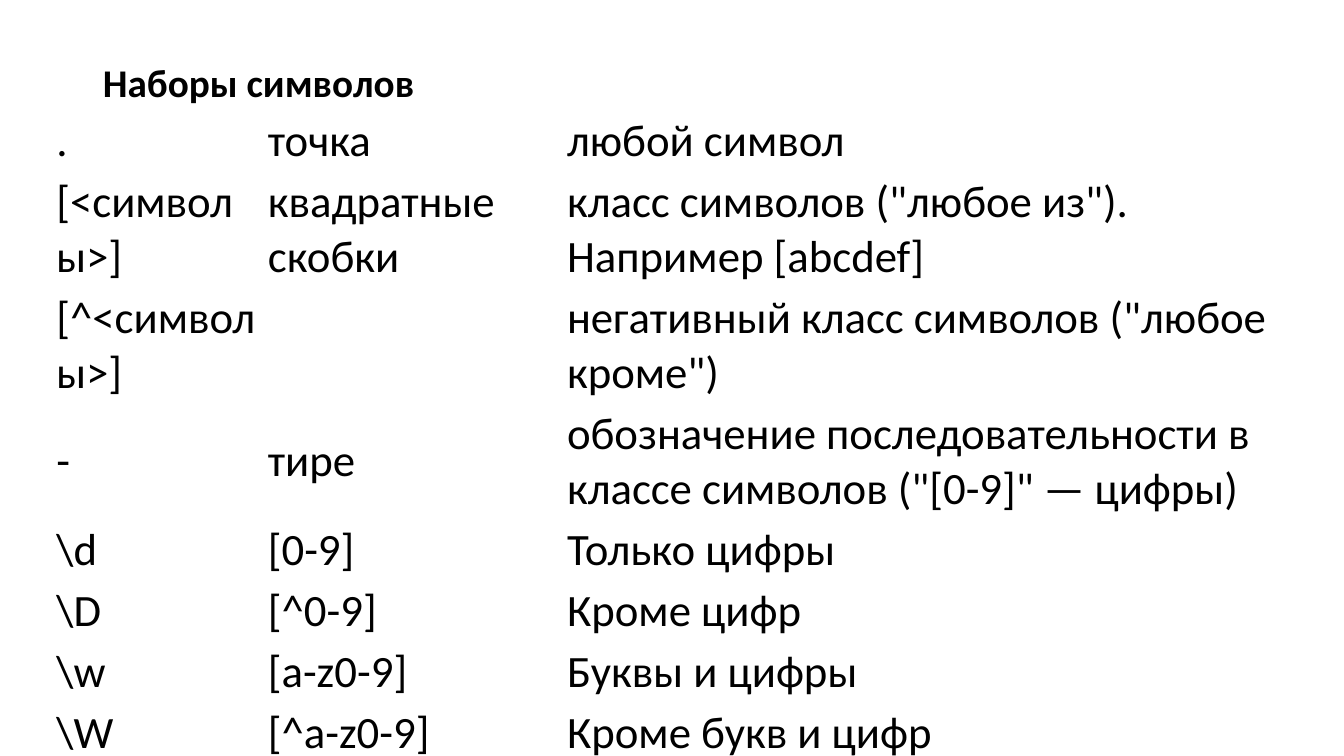
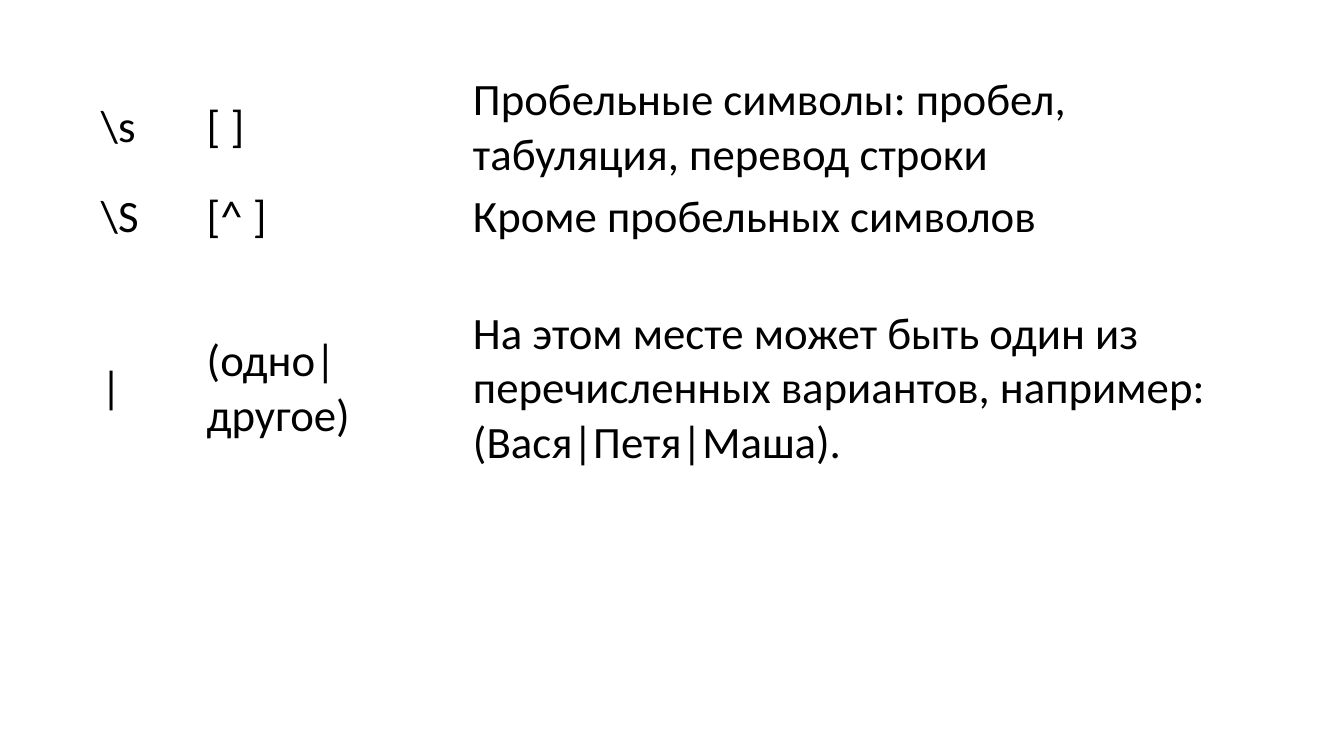
from pptx import Presentation
from pptx.dml.color import RGBColor
from pptx.enum.text import MSO_ANCHOR, MSO_AUTO_SIZE
from pptx.oxml.ns import qn
from pptx.util import Cm, Pt
from lxml.etree import SubElement

# Shared style
BLACK = RGBColor(0, 0, 0)
FONT = "Calibri"
HEAD_SIZE = 28
CELL_SIZE = 32

# Row heights for one and two lines of text
ONE, TWO = 1.53, 2.91

SETS = [
    (ONE, ".", "точка", "любой символ"),
    (TWO, "[<символы>]", "квадратные скобки",
     'класс символов ("любое из"). Например [abcdef]'),
    (TWO, "[^<символы>]", "", 'негативный класс символов ("любое кроме")'),
    (TWO, "-", "тире",
     'обозначение последовательности в классе символов ("[0-9]"\u00a0— цифры)'),
    (ONE, "\\d", "[0-9]", "Только цифры"),
    (ONE, "\\D", "[^0-9]", "Кроме цифр"),
    (ONE, "\\w", "[a-z0-9]", "Буквы и цифры"),
    (ONE, "\\W", "[^a-z0-9]", "Кроме букв и цифр"),
]

SPACES = [
    (2.96, "\\s", "[ ]", "Пробельные символы: пробел, табуляция, перевод строки"),
    (1.58, "\\S", "[^ ]", "Кроме пробельных символов"),
    (7.04, "|", "(одно|другое)",
     "На этом месте может быть один из перечисленных вариантов, "
     "например: (Вася|Петя|Маша)."),
]


def add_run(para, text, size, bold=False):
    run = para.add_run()
    run.text = text
    font = run.font
    font.name, font.size, font.bold = FONT, Pt(size), bold
    font.color.rgb = BLACK


def add_head(body, box, text):
    """Place the body text as a bold heading without a bullet."""
    body.left, body.top, body.width, body.height = (Cm(n) for n in box)
    frame = body.text_frame
    frame.auto_size = MSO_AUTO_SIZE.NONE
    frame.vertical_anchor = MSO_ANCHOR.TOP
    para = frame.paragraphs[0]
    para.line_spacing = 0.9
    para.space_before = Pt(10)
    props = para._p.get_or_add_pPr()
    props.set("marL", "0")
    props.set("indent", "0")
    SubElement(props, qn("a:buNone"))
    add_run(para, text, HEAD_SIZE, bold=True)


def fill_cell(cell, text, side, edge):
    cell.fill.background()
    cell.vertical_anchor = MSO_ANCHOR.MIDDLE
    cell.margin_left = cell.margin_right = Cm(side)
    cell.margin_top = cell.margin_bottom = Cm(edge)
    if text:
        add_run(cell.text_frame.paragraphs[0], text, CELL_SIZE)


def add_grid(slide, left, top, widths, rows, side, edge):
    """Place a plain table; each row is its height and its texts."""
    high = sum(row[0] for row in rows)
    table = slide.shapes.add_table(
        len(rows), len(widths), Cm(left), Cm(top),
        Cm(sum(widths)), Cm(high)).table
    table.first_row = table.horz_banding = False
    for col, width in zip(table.columns, widths):
        col.width = Cm(width)
    for line, (height, *texts) in zip(table.rows, rows):
        line.height = Cm(height)
        for cell, text in zip(line.cells, texts):
            fill_cell(cell, text, side, edge)


def drop(shape):
    shape.element.getparent().remove(shape.element)


def sets_slide(deck):
    slide = deck.slides.add_slide(deck.slide_layouts[1])
    drop(slide.shapes.title)
    add_head(slide.placeholders[1], (2.34, 1.47, 29.21, 15.67),
             "Наборы символов")
    add_grid(slide, 1.27, 2.79, (5.33, 7.54, 18.47), SETS, 0.15, 0.08)


def spaces_slide(deck):
    slide = deck.slides.add_slide(deck.slide_layouts[6])
    add_grid(slide, 2.34, 1.73, (2.67, 6.71, 19.81), SPACES, 0.2, 0.1)


deck = Presentation()
deck.slide_width, deck.slide_height = Cm(33.87), Cm(19.05)
sets_slide(deck)
spaces_slide(deck)
deck.save("out.pptx")
